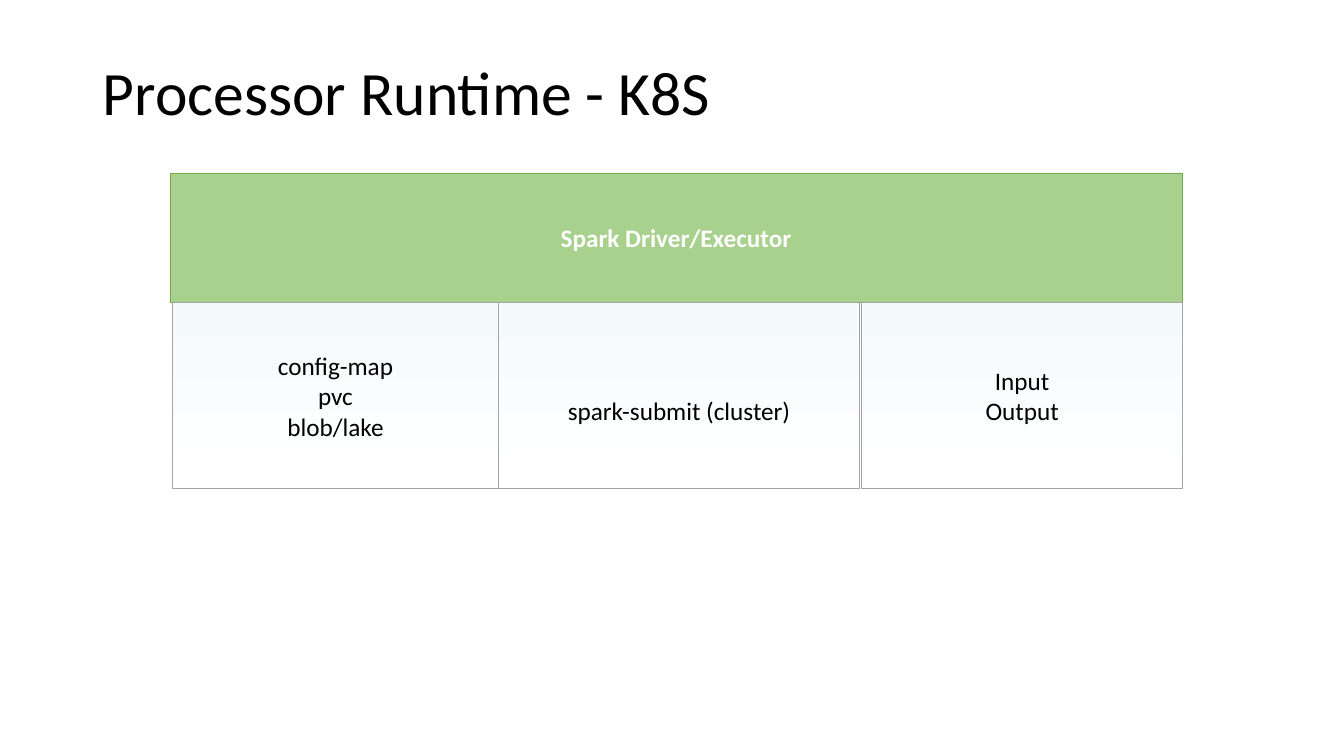
from dataclasses import dataclass

from pptx import Presentation
from pptx.dml.color import RGBColor
from pptx.enum.shapes import MSO_SHAPE
from pptx.enum.text import MSO_ANCHOR, MSO_AUTO_SIZE, PP_ALIGN
from pptx.util import Cm, Pt


@dataclass(frozen=True)
class Theme:
    font: str = "Calibri"
    head: int = 44
    body: int = 18
    edge: float = 0.5
    black: str = "000000"
    white: str = "FFFFFF"
    green: str = "A9D18E"
    rim: str = "70AD47"
    pale: str = "F5FAFB"
    gray: str = "A5A5A5"


THEME = Theme()
TOP, HIGH = 7.62, 4.7
CELLS = [
    (4.34, 8.23, ["config-map", "pvc", "blob/lake"], 0.13),
    (12.57, 9.09, ["spark-submit (cluster)"], 0.89),
    (21.72, 8.08, ["Input", "Output"], 0.13),
]


def write(frame, lines, size, color, align, bold=False):
    frame.word_wrap = True
    frame.auto_size = MSO_AUTO_SIZE.NONE
    frame.vertical_anchor = MSO_ANCHOR.MIDDLE
    frame.text = "\n".join(lines)
    for para in frame.paragraphs:
        para.alignment = align
        para.font.name = THEME.font
        para.font.size = Pt(size)
        para.font.bold = bold
        para.font.color.rgb = RGBColor.from_string(color)


def set_title(slide, text):
    title = slide.shapes.title
    title.left, title.top = Cm(2.34), Cm(1.02)
    title.width, title.height = Cm(29.21), Cm(2.77)
    write(title.text_frame, [text], THEME.head, THEME.black, PP_ALIGN.LEFT)
    title.text_frame.paragraphs[0].line_spacing = 0.9


def add_box(slide, left, top, width, height, edge):
    box = slide.shapes.add_shape(
        MSO_SHAPE.RECTANGLE, Cm(left), Cm(top), Cm(width), Cm(height))
    box.shadow.inherit = False
    box.line.color.rgb = RGBColor.from_string(edge)
    box.line.width = Pt(THEME.edge)
    return box


def add_head(slide, text):
    box = add_box(slide, 4.29, 4.37, 25.5, 3.25, THEME.rim)
    box.fill.solid()
    box.fill.fore_color.rgb = RGBColor.from_string(THEME.green)
    write(box.text_frame, [text], THEME.body, THEME.white, PP_ALIGN.CENTER, True)


def add_cell(slide, left, width, lines, inset):
    box = add_box(slide, left, TOP, width, HIGH, THEME.gray)
    box.fill.gradient()
    box.fill.gradient_angle = 270
    for stop, color in zip(box.fill.gradient_stops, (THEME.pale, THEME.white)):
        stop.color.rgb = RGBColor.from_string(color)
    box.text_frame.margin_top = Cm(inset)
    write(box.text_frame, lines, THEME.body, THEME.black, PP_ALIGN.CENTER)


def main():
    deck = Presentation()
    deck.slide_width, deck.slide_height = Cm(33.87), Cm(19.05)
    slide = deck.slides.add_slide(deck.slide_layouts.get_by_name("Title Only"))
    set_title(slide, "Processor Runtime - K8S")
    add_head(slide, "Spark Driver/Executor")
    for cell in CELLS:
        add_cell(slide, *cell)
    deck.save("out.pptx")


if __name__ == "__main__":
    main()
